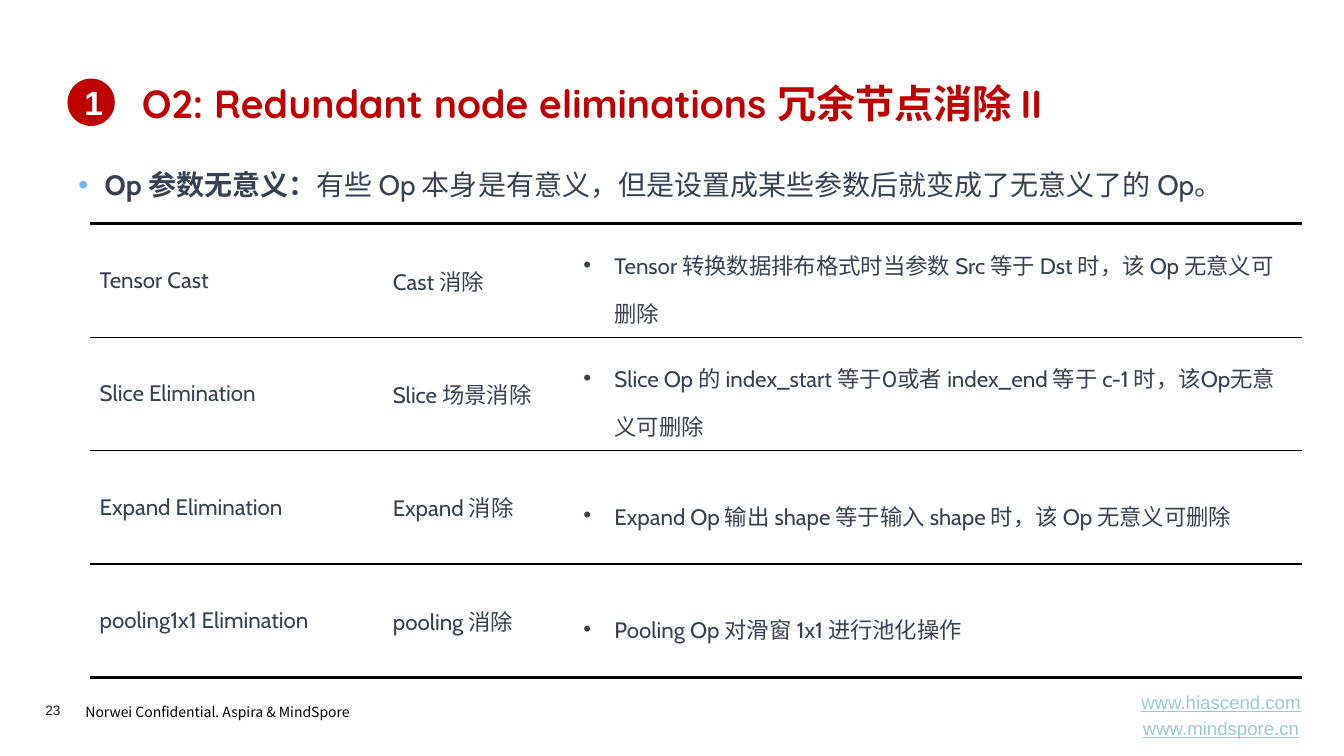
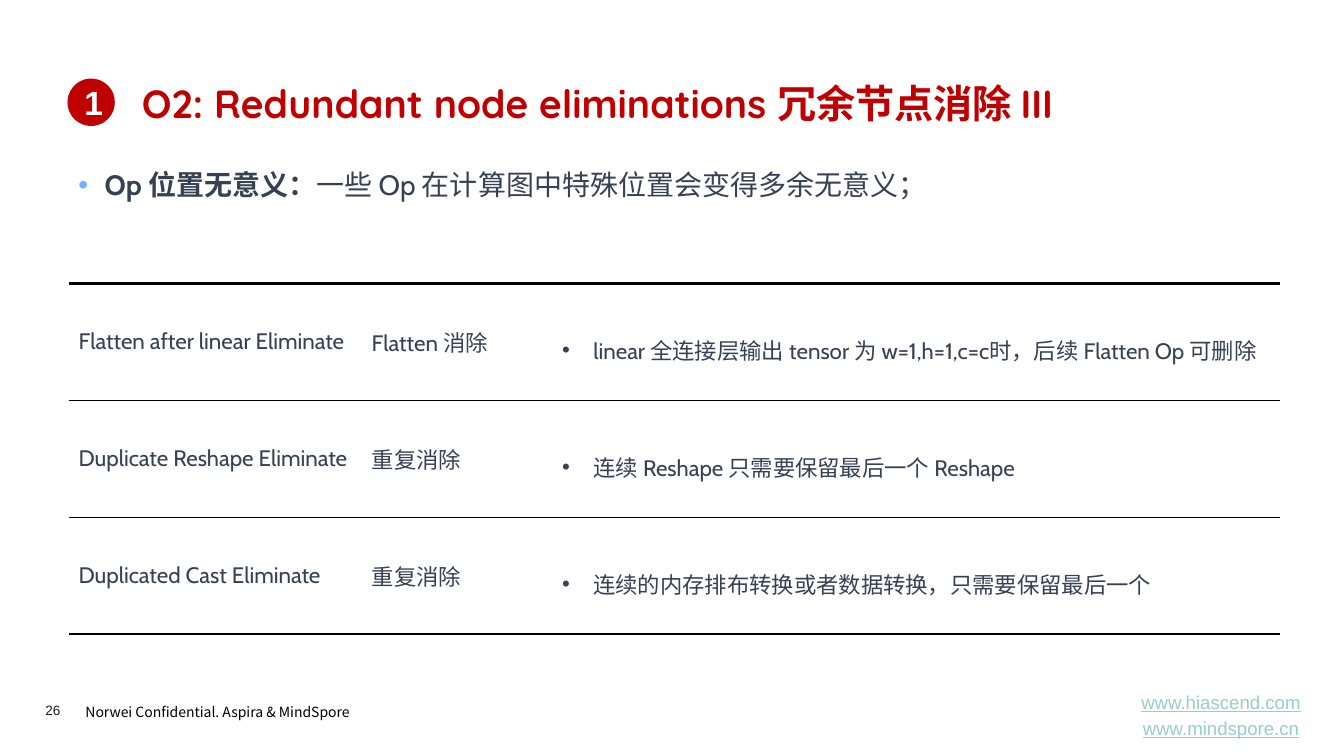
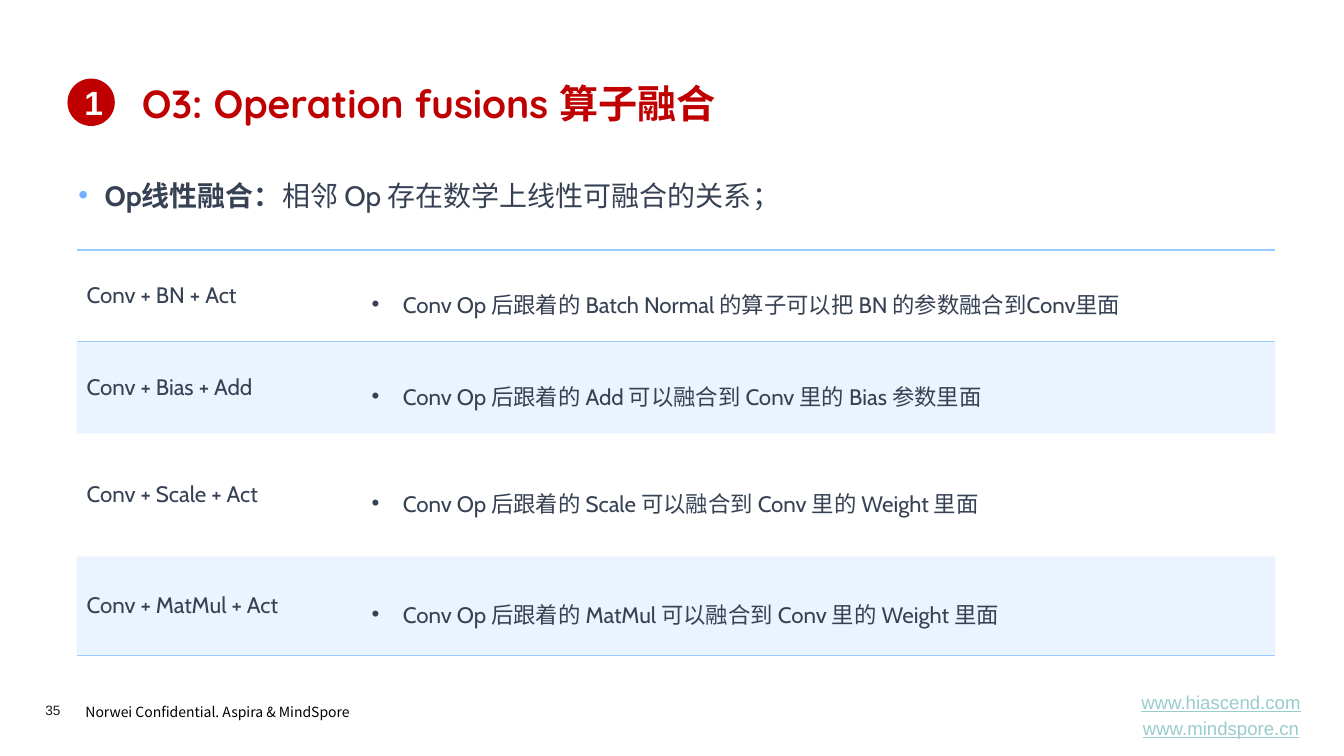
"""Build three slides on graph optimisation: node elimination and operator fusion."""
from dataclasses import dataclass
from typing import Optional

from lxml import etree
from pptx import Presentation
from pptx import util as u
from pptx.dml.color import RGBColor
from pptx.enum import shapes, text
from pptx.oxml import ns

WIDTH, HEIGHT = u.Inches(13.34), u.Inches(7.5)
COLORS = {
    "red": "C00000", "ink": "374154", "white": "FFFFFF", "black": "000000",
    "number": "1D1D1B", "link": "99CCCC", "bullet": "71B2FF", "sky": "99CCFF",
}
CJK = "Noto Sans CJK SC"
NO_STYLE = "{2D5ABB26-0587-4C30-8999-92F81FD0307C}"
NOTICE = "Norwei Confidential. Aspira & MindSpore"
LINKS = ("www.hiascend.com", "www.mindspore.cn")
THIN, THICK = 1, 2.25


@dataclass(frozen=True)
class Area:
    """Place and size in percent of the slide."""
    left: float
    top: float
    width: float
    height: float

    def lengths(self) -> tuple[int, int, int, int]:
        """Return the area in slide units."""
        return across(self.left), down(self.top), across(self.width), down(self.height)


@dataclass(frozen=True)
class Style:
    """Look of a text run."""
    font: str
    size: float
    color: str
    bold: bool = False
    underline: bool = False


@dataclass(frozen=True)
class Grid:
    """A ruled table, with lengths in percent of the slide."""
    left: float
    top: float
    columns: tuple[float, ...]
    rows: tuple[float, ...]
    edges: tuple[float, ...]
    edge_color: str
    fills: tuple[Optional[str], ...]
    cells: tuple[tuple[str, ...], ...]


@dataclass(frozen=True)
class Topic:
    """Content of one slide."""
    number: int
    title: str
    lead: str
    detail: str
    spacing: float
    body_height: float
    grid: Grid


NOTICE_AREA = Area(5.62, 92, 23.46, 3.87)
NUMBER_AREA = Area(3.37, 92.8, 4.12, 2.13)
LINKS_AREA = Area(82.76, 91.73, 16.19, 5.73)
TITLE_AREA = Area(9.82, 9.87, 85.16, 8.53)
BADGE_AREA = Area(5.02, 10.4, 3.52, 6.27)
BODY_LEFT, BODY_TOP, BODY_WIDTH = 5.1, 20.67, 89.88

TITLE = Style("Quicksand", 28, "red", bold=True)
LEAD = Style("Cabin", 20, "ink", bold=True)
DETAIL = Style("Cabin", 20, "ink")
CELL = Style("Cabin", 16, "ink")
BADGE = Style("Arial", 24, "white", bold=True)
NOTICE_STYLE = Style(CJK, 10, "black")
NUMBER = Style("Arial", 9.7, "number")
LINK = Style("Arial", 13.3, "link", underline=True)

THREE_COLUMNS = (21.81, 14.17, 54.2)

TOPICS = (
    Topic(23, "O2: Redundant node eliminations 冗余节点消除 II", "Op 参数无意义：",
          "有些 Op 本身是有意义，但是设置成某些参数后就变成了无意义了的 Op。", 1.2, 6.27,
          Grid(6.67, 29.6, THREE_COLUMNS, (15,) * 4, (THICK, THIN, THIN, THIN, THICK),
               "black", ("white",) * 4, (
              ("Tensor Cast", "Cast 消除",
               "Tensor 转换数据排布格式时当参数 Src 等于 Dst 时，该 Op 无意义可删除"),
              ("Slice Elimination", "Slice 场景消除",
               "Slice Op 的 index_start 等于0或者 index_end 等于 c-1 时，该Op无意义可删除"),
              ("Expand Elimination", "Expand 消除",
               "Expand Op 输出 shape 等于输入 shape 时，该 Op 无意义可删除"),
              ("pooling1x1 Elimination", "pooling 消除",
               "Pooling Op 对滑窗 1x1 进行池化操作"),
          ))),
    Topic(26, "O2: Redundant node eliminations 冗余节点消除 III", "Op 位置无意义：",
          "一些 Op 在计算图中特殊位置会变得多余无意义；", 1.2, 8.53,
          Grid(5.1, 37.47, THREE_COLUMNS, (15.47,) * 3, (THICK, THIN, THIN, THICK),
               "black", ("white",) * 3, (
              ("Flatten after linear Eliminate", "Flatten 消除",
               "linear 全连接层输出 tensor 为 w=1,h=1,c=c时，后续 Flatten Op 可删除"),
              ("Duplicate Reshape Eliminate", "重复消除",
               "连续 Reshape 只需要保留最后一个 Reshape"),
              ("Duplicated Cast Eliminate", "重复消除",
               "连续的内存排布转换或者数据转换，只需要保留最后一个"),
          ))),
    Topic(35, "O3: Operation fusions 算子融合", "Op线性融合：",
          "相邻 Op 存在数学上线性可融合的关系；", 1.5, 8.53,
          Grid(5.7, 33.07, (21.21, 67.99), (12.13, 12.13, 16.27, 13.07),
               (THIN, THIN, 0, 0, THIN), "sky", (None, "sky", None, "sky"), (
              ("Conv + BN + Act",
               "Conv Op 后跟着的 Batch Normal 的算子可以把 BN 的参数融合到Conv里面"),
              ("Conv + Bias + Add", "Conv Op 后跟着的 Add 可以融合到 Conv 里的 Bias 参数里面"),
              ("Conv + Scale + Act", "Conv Op 后跟着的 Scale 可以融合到 Conv 里的 Weight 里面"),
              ("Conv + MatMul + Act", "Conv Op 后跟着的 MatMul 可以融合到 Conv 里的 Weight 里面"),
          ))),
)


def across(percent: float) -> int:
    """Turn a share of the slide's width into a length."""
    return round(WIDTH * percent / 100)


def down(percent: float) -> int:
    """Turn a share of the slide's height into a length."""
    return round(HEIGHT * percent / 100)


def add_element(parent, tag: str, **attributes: str):
    """Append a drawing element and return it."""
    return etree.SubElement(parent, ns.qn(f"a:{tag}"), **attributes)


def add_span(para, words: str, style: Style) -> None:
    """Add one styled run to a paragraph."""
    span = para.add_run()
    span.text = words
    font = span.font
    font.name, font.size = style.font, u.Pt(style.size)
    font.bold, font.underline = style.bold, style.underline
    font.color.rgb = RGBColor.from_string(COLORS[style.color])
    add_element(span._r.get_or_add_rPr(), "ea", typeface=CJK)


def add_bullet(para, indent: float, color: Optional[str] = None) -> None:
    """Give a paragraph a hanging round bullet."""
    properties = para._p.get_or_add_pPr()
    properties.set("marL", str(u.Inches(indent)))
    properties.set("indent", str(-u.Inches(indent)))
    if color:
        add_element(add_element(properties, "buClr"), "srgbClr", val=COLORS[color])
    add_element(properties, "buFont", typeface="Arial")
    add_element(properties, "buChar", char="•")


def add_box(page, area: Area):
    """Add a wrapping text box and return its text frame."""
    frame = page.shapes.add_textbox(*area.lengths()).text_frame
    frame.word_wrap = True
    return frame


def draw_footer(page, number: int) -> None:
    """Draw the notice, page number and web addresses."""
    para = add_box(page, NOTICE_AREA).paragraphs[0]
    para.line_spacing = 1.2
    add_span(para, NOTICE, NOTICE_STYLE)

    frame = add_box(page, NUMBER_AREA)
    frame.margin_left = frame.margin_right = frame.margin_top = frame.margin_bottom = 0
    add_span(frame.paragraphs[0], str(number), NUMBER)

    frame = add_box(page, LINKS_AREA)
    frame.vertical_anchor = text.MSO_ANCHOR.MIDDLE
    for index, link in enumerate(LINKS):
        para = frame.add_paragraph() if index else frame.paragraphs[0]
        para.alignment = text.PP_ALIGN.CENTER
        if index:
            para.space_before = u.Pt(2.7)
        add_span(para, link, LINK)


def draw_heading(page, topic: Topic) -> None:
    """Draw the title, the leading statement and the round badge."""
    add_span(add_box(page, TITLE_AREA).paragraphs[0], topic.title, TITLE)

    body = Area(BODY_LEFT, BODY_TOP, BODY_WIDTH, topic.body_height)
    para = add_box(page, body).paragraphs[0]
    add_bullet(para, 0.26, "bullet")
    para.line_spacing = topic.spacing
    add_span(para, topic.lead, LEAD)
    add_span(para, topic.detail, DETAIL)

    badge = page.shapes.add_shape(shapes.MSO_SHAPE.OVAL, *BADGE_AREA.lengths())
    badge.shadow.inherit = False
    badge.fill.solid()
    badge.fill.fore_color.rgb = RGBColor.from_string(COLORS["red"])
    badge.line.fill.background()
    badge.text_frame.vertical_anchor = text.MSO_ANCHOR.MIDDLE
    para = badge.text_frame.paragraphs[0]
    para.alignment = text.PP_ALIGN.CENTER
    add_span(para, "1", BADGE)


def fill_cell(cell, color: Optional[str]) -> None:
    """Fill a cell, with the sky tint mostly transparent."""
    if color is None:
        cell.fill.background()
        return
    cell.fill.solid()
    cell.fill.fore_color.rgb = RGBColor.from_string(COLORS[color])
    if color == "sky":
        tint = cell._tc.tcPr.find(f".//{ns.qn('a:srgbClr')}")
        add_element(tint, "alpha", val="20000")


def rule_cell(cell, top: float, bottom: float, color: str) -> None:
    """Draw the upper and lower borders of a cell."""
    properties = cell._tc.get_or_add_tcPr()
    for index, (tag, points) in enumerate((("lnT", top), ("lnB", bottom))):
        line = add_element(properties, tag, w=str(u.Pt(points)))
        if points:
            add_element(add_element(line, "solidFill"), "srgbClr", val=COLORS[color])
        else:
            add_element(line, "noFill")
        properties.insert(index, line)


def draw_grid(page, grid: Grid) -> None:
    """Draw the ruled table with bullets in its last column."""
    area = Area(grid.left, grid.top, sum(grid.columns), sum(grid.rows))
    table = page.shapes.add_table(
        len(grid.rows), len(grid.columns), *area.lengths()).table
    table.first_row = table.horz_banding = False
    table._tbl.tblPr.find(ns.qn("a:tableStyleId")).text = NO_STYLE
    for column, width in zip(table.columns, grid.columns):
        column.width = across(width)
    for index, (row, height) in enumerate(zip(table.rows, grid.rows)):
        row.height = down(height)
        for position, words in enumerate(grid.cells[index]):
            cell = table.cell(index, position)
            cell.vertical_anchor = text.MSO_ANCHOR.MIDDLE
            fill_cell(cell, grid.fills[index])
            rule_cell(cell, grid.edges[index], grid.edges[index + 1], grid.edge_color)
            para = cell.text_frame.paragraphs[0]
            if position == len(grid.columns) - 1:
                add_bullet(para, 0.31)
                para.line_spacing = 1.5
            add_span(para, words, CELL)


def main() -> None:
    """Build and save the deck."""
    deck = Presentation()
    deck.slide_width, deck.slide_height = WIDTH, HEIGHT
    for topic in TOPICS:
        page = deck.slides.add_slide(deck.slide_layouts[6])
        draw_footer(page, topic.number)
        draw_heading(page, topic)
        draw_grid(page, topic.grid)
    deck.save("out.pptx")


if __name__ == "__main__":
    main()
